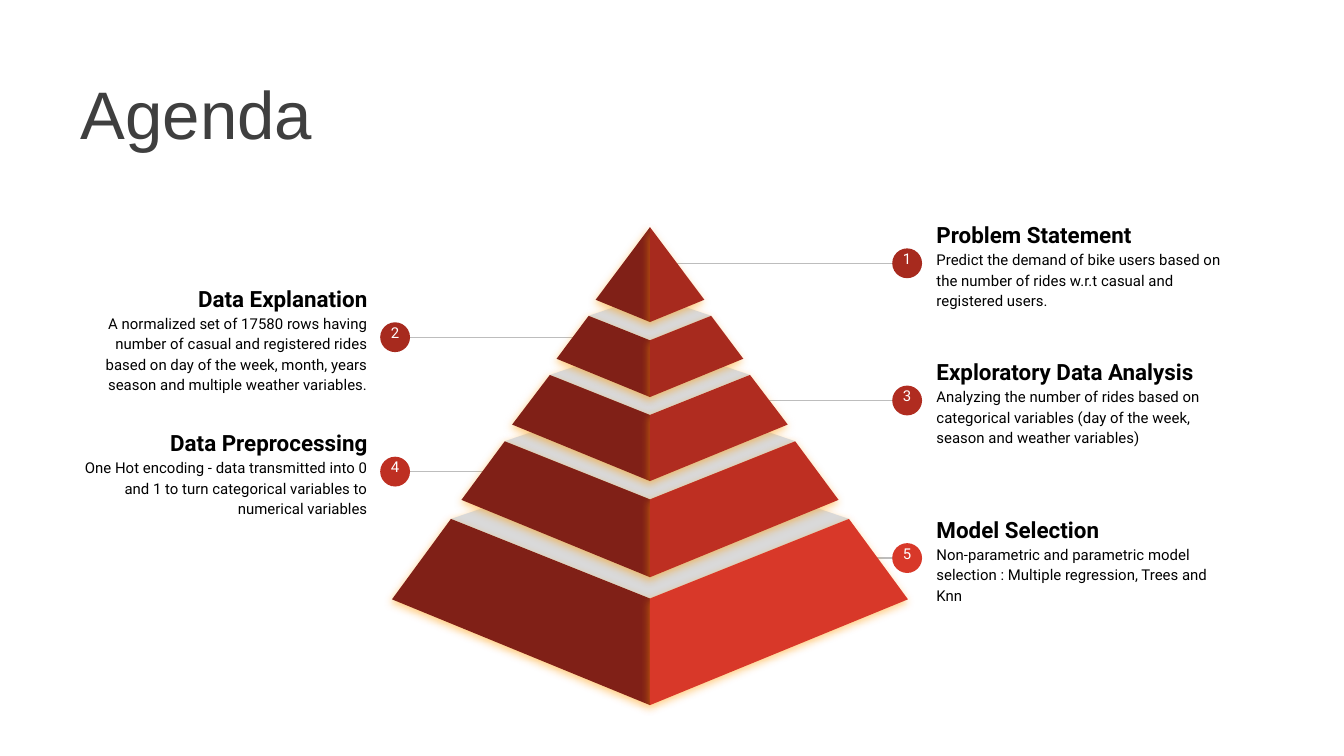
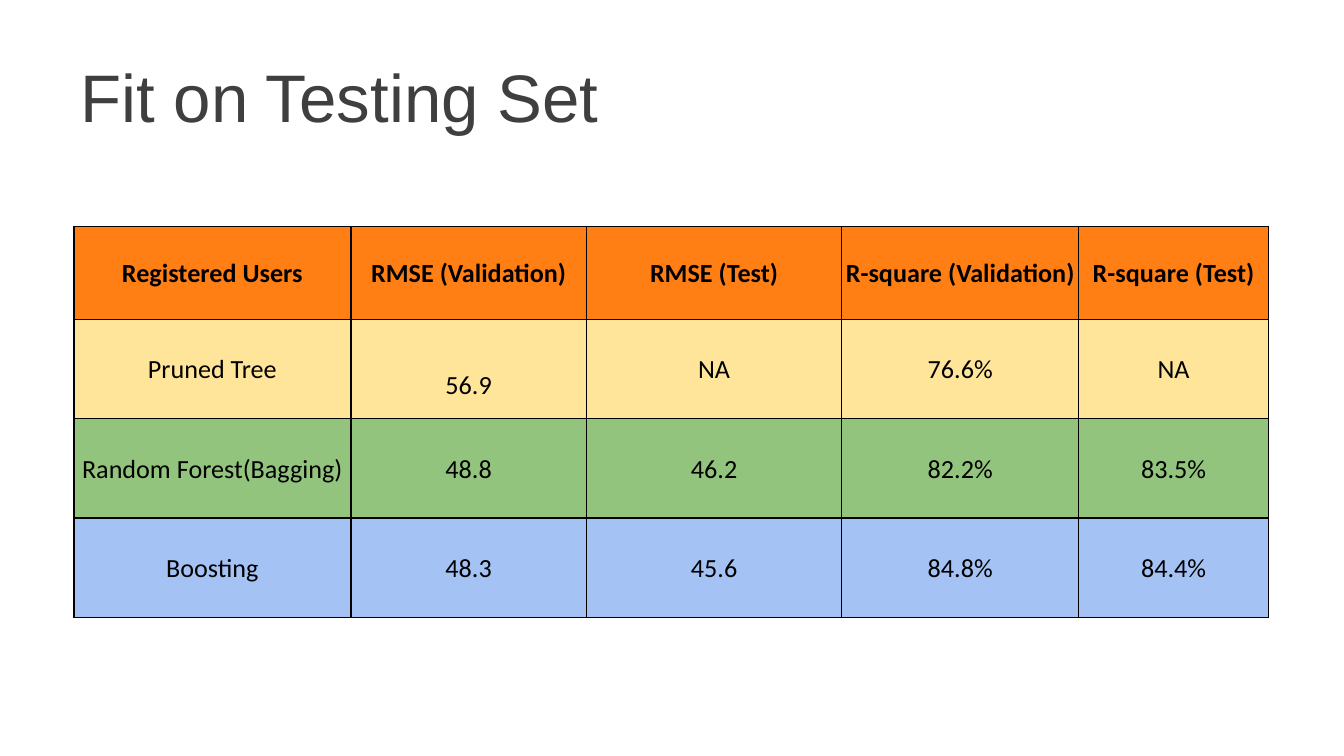
from lxml import etree
from pptx import Presentation
from pptx import util as u
from pptx.dml.color import RGBColor
from pptx.enum import shapes, text
from pptx.oxml import ns

Pt = u.Pt
LEFT, CENTER, RIGHT = text.PP_ALIGN.LEFT, text.PP_ALIGN.CENTER, text.PP_ALIGN.RIGHT
MIDDLE, TOP = text.MSO_ANCHOR.MIDDLE, text.MSO_ANCHOR.TOP


def color(value):
    return RGBColor.from_string(value)


def element(parent, tag, **attributes):
    child = etree.SubElement(parent, ns.qn(tag))
    for name, value in attributes.items():
        child.set(name, str(value))
    return child


def write(paragraph, words, font="Roboto", size=8, fill="000000", bold=False,
          align=LEFT, spacing=None, after=None):
    paragraph.alignment = align
    if spacing:
        paragraph.line_spacing = spacing
    if after:
        paragraph.space_after = Pt(after)
    run = paragraph.add_run()
    run.text = words
    run.font.name, run.font.size, run.font.bold = font, Pt(size), bold
    run.font.color.rgb = color(fill)


class Deck:
    title_color, line_color, glow_color = "3F3F3F", "BDBDBD", "FF9900"
    cap_color, dark_face = "D9D9D9", "802017"

    def __init__(self):
        self.presentation = Presentation()
        self.presentation.slide_width = Pt(720)
        self.presentation.slide_height = Pt(405)

    def new_slide(self, title, left, top, width, height):
        layout = self.presentation.slide_layouts[5]
        self.slide = self.presentation.slides.add_slide(layout)
        self.shapes = self.slide.shapes
        shape = self.slide.shapes.title
        shape.left, shape.top, shape.width, shape.height = map(Pt, (left, top, width, height))
        frame = shape.text_frame
        frame.auto_size = text.MSO_AUTO_SIZE.NONE
        frame.word_wrap = True
        frame.vertical_anchor = MIDDLE
        write(frame.paragraphs[0], title, font="Arial", size=36, fill=self.title_color)

    def start_group(self):
        self.shapes = self.slide.shapes.add_group_shape().shapes

    def text_box(self, left, top, width, height, anchor=TOP):
        frame = self.shapes.add_textbox(*map(Pt, (left, top, width, height))).text_frame
        frame.word_wrap = True
        frame.vertical_anchor = anchor
        frame.margin_left = frame.margin_right = Pt(7.2)
        frame.margin_top = frame.margin_bottom = Pt(7.2)
        return frame

    def line(self, x1, x2, y):
        connector = self.shapes.add_connector(
            shapes.MSO_CONNECTOR.STRAIGHT, Pt(x1), Pt(y), Pt(x2), Pt(y))
        connector.line.color.rgb = color(self.line_color)
        connector.line.width = Pt(0.75)
        element(connector._element.spPr, "a:effectLst")

    def dot(self, x, y, diameter, fill):
        shape = self.shapes.add_shape(
            shapes.MSO_SHAPE.OVAL, Pt(x - diameter / 2), Pt(y - diameter / 2),
            Pt(diameter), Pt(diameter))
        shape.shadow.inherit = False
        shape.fill.solid()
        shape.fill.fore_color.rgb = color(fill)
        shape.line.fill.background()

    def callout(self, number, heading, body, y, fill, line_start):
        on_right = number % 2 == 1
        dot_x, line_end, text_left = (486, 491, 494.6) if on_right else (211.7, 207.4, 36)
        align = LEFT if on_right else RIGHT
        self.start_group()
        self.line(line_start, line_end, y)
        self.dot(dot_x, y, 16, fill)
        label = self.text_box(dot_x - 10, y - 12.2, 20, 24.4)
        write(label.paragraphs[0], str(number), fill="FFFFFF", align=CENTER, after=16)
        frame = self.text_box(text_left, y - 29.5, 168, 59, MIDDLE)
        write(frame.paragraphs[0], heading, size=12, bold=True, align=align, spacing=1.15)
        write(frame.add_paragraph(), body, align=align, spacing=1.15, after=16)

    def polygon(self, points, fill):
        start, *rest = [(Pt(x), Pt(y)) for x, y in dict.fromkeys(points)]
        builder = self.shapes.build_freeform(*start, scale=1.0)
        builder.add_line_segments(rest, close=True)
        shape = builder.convert_to_shape()
        shape.fill.solid()
        shape.fill.fore_color.rgb = color(fill)
        shape.line.fill.background()
        # Soft orange glow below the shape
        effects = element(shape._element.spPr, "a:effectLst")
        shadow = element(effects, "a:outerShdw", blurRad=Pt(4.5), dist=Pt(1.5),
                         dir=107 * 60000, algn="bl", rotWithShape=0)
        tint = element(shadow, "a:srgbClr", val=self.glow_color)
        element(tint, "a:alpha", val=50000)

    def tier(self, center, top_half, top, base_half, base, fill):
        """One pyramid layer: a grey cap and two faces meeting at the centre."""
        front_top, front_base = top + 0.4 * top_half, base + 0.41 * base_half
        if top_half:
            self.polygon([(center - top_half, top), (center, front_top),
                          (center + top_half, top), (center, top - 0.34 * top_half)],
                         self.cap_color)
        for side, face in ((-1, self.dark_face), (1, fill)):
            self.polygon([(center + side * top_half, top), (center, front_top),
                          (center, front_base), (center + side * base_half, base)], face)

    def table(self, left, top, widths, heights, rows, fills):
        table = self.shapes.add_table(
            len(rows), len(widths), Pt(left), Pt(top),
            Pt(sum(widths)), Pt(sum(heights))).table
        table.first_row = table.horz_banding = False
        for column, width in zip(table.columns, widths):
            column.width = Pt(width)
        for r, (row, fill) in enumerate(zip(rows, fills)):
            table.rows[r].height = Pt(heights[r])
            for c, words in enumerate(row):
                self.cell(table.cell(r, c), words, fill, bold=r == 0)
        return table

    def cell(self, cell, words, fill, bold):
        properties = cell._tc.get_or_add_tcPr()
        for edge in ("a:lnL", "a:lnR", "a:lnT", "a:lnB"):
            border = element(properties, edge, w=Pt(0.75))
            element(element(border, "a:solidFill"), "a:srgbClr", val="000000")
        cell.fill.solid()
        cell.fill.fore_color.rgb = color(fill)
        cell.vertical_anchor = MIDDLE
        cell.margin_left = cell.margin_right = cell.margin_top = Pt(0.7)
        cell.margin_bottom = 0
        write(cell.text_frame.paragraphs[0], words, font="Calibri", size=14,
              bold=bold, align=CENTER)


# Content
CALLOUTS = [  # number, heading, body, y, colour, start of line
    (1, "Problem Statement",
     "Predict the demand of bike users based on the number of rides w.r.t casual "
     "and registered users.", 141.1, "A72A1E", 361),
    (3, "Exploratory Data Analysis",
     "Analyzing the number of rides based on categorical variables (day of the week, "
     "season and weather variables)", 214.6, "B02C20", 403),
    (5, "Model Selection",
     "Non-parametric and parametric model selection : Multiple regression, Trees and Knn",
     299, "D83829", 443.5),
    (2, "Data Explanation",
     "A normalized set of 17580 rows having number of casual and registered rides based "
     "on day of the week, month, years season and multiple weather variables.",
     180.7, "A72A1E", 309),
    (4, "Data Preprocessing",
     "One Hot encoding - data transmitted into 0 and 1 to turn categorical variables "
     "to numerical variables", 252.7, "BE2F22", 273.6),
]
TIERS = [  # half width and y at the top, half width and y at the base, colour
    (106.6, 278, 138.2, 321.1, "D83829"),
    (77.8, 236.4, 101, 267.8, "BE2F22"),
    (53.6, 200.9, 73.8, 227.5, "B02C20"),
    (32.8, 169.2, 50, 192.2, "A72A1E"),
    (0, 121.7, 29.1, 160.6, "A72A1E"),
]
SCORES = [
    ["Registered Users", "RMSE (Validation)", "RMSE (Test)",
     "R-square (Validation)", "R-square (Test)"],
    ["Pruned Tree", "56.9", "NA", "76.6%", "NA"],
    ["Random Forest(Bagging)", "48.8", "46.2", "82.2%", "83.5%"],
    ["Boosting", "48.3", "45.6", "84.8%", "84.4%"],
]


def main():
    deck = Deck()

    # Agenda pyramid
    deck.new_slide("Agenda", 36, 26.6, 648, 67.7)
    for callout in CALLOUTS:
        deck.callout(*callout)
    deck.start_group()
    for tier in TIERS:
        deck.tier(348.2, *tier)

    # Score table
    deck.new_slide("Fit on Testing Set", 36, 34.6, 516, 33)
    table = deck.table(39.6, 121.5, [148.4, 126.2, 136.8, 126.9, 101.7],
                       [49.7, 53.2, 53.2, 53.2], SCORES,
                       ["FF7F15", "FFE599", "93C47D", "A4C2F4"])
    table.cell(1, 1).margin_top = Pt(17.8)  # this value sits lower in its cell

    deck.presentation.save("out.pptx")


if __name__ == "__main__":
    main()
